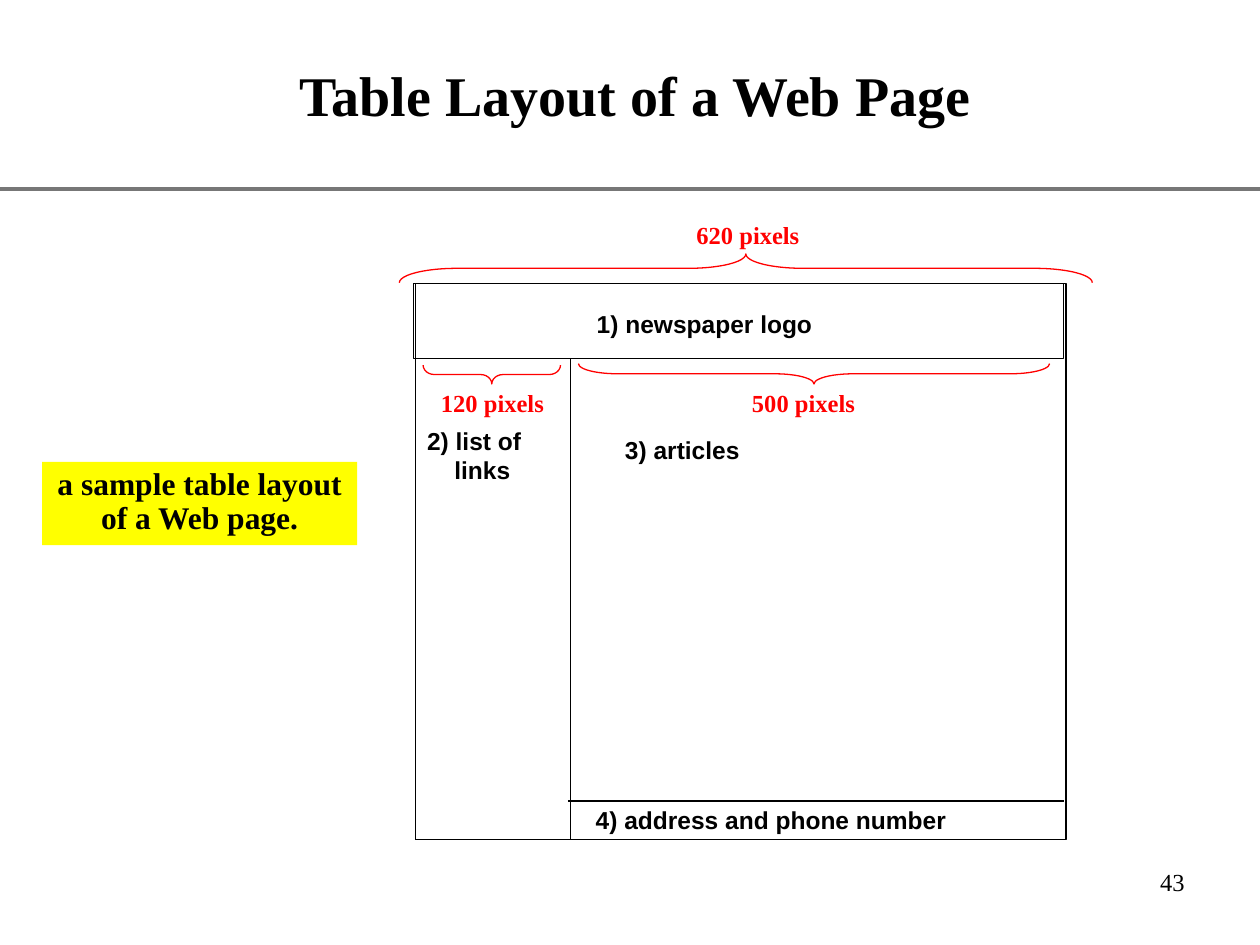
from lxml.etree import SubElement
from pptx import Presentation
from pptx.dml.color import RGBColor
from pptx.enum.shapes import MSO_CONNECTOR, MSO_SHAPE
from pptx.enum.text import MSO_ANCHOR, MSO_AUTO_SIZE, PP_ALIGN
from pptx.oxml.ns import qn
from pptx.util import Cm, Pt

COLORS = {"ink": "000000", "rule": "777777", "size": "FF0000", "note": "FFFF00"}
SERIF, SANS = "Times New Roman", "Arial"


def color(name):
    return RGBColor.from_string(COLORS[name])


def write(tf, text, size, font=SERIF, ink="ink", bold=True, align=PP_ALIGN.LEFT):
    values = {"size": Pt(size), "name": font, "bold": bold}
    for i, line in enumerate(text.split("\n")):
        p = tf.paragraphs[0] if i == 0 else tf.add_paragraph()
        p.alignment = align
        r = p.add_run()
        r.text = line
        for key, value in values.items():
            setattr(r.font, key, value)
        r.font.color.rgb = color(ink)


def add_outline(shapes, kind, x, y, w, h, ink="ink"):
    sp = shapes.add_shape(kind, Cm(x), Cm(y), Cm(w), Cm(h))
    sp.shadow.inherit = False
    sp.fill.background()
    sp.line.color.rgb = color(ink)
    sp.line.width = Pt(0.75)
    return sp


def add_rule(shapes, x1, x2, y, width, ink):
    line = shapes.add_connector(MSO_CONNECTOR.STRAIGHT, Cm(x1), Cm(y), Cm(x2), Cm(y))
    line.line.color.rgb = color(ink)
    line.line.width = Pt(width)
    SubElement(line._element.spPr, qn("a:effectLst"))


def add_brace(shapes, x, y, length, depth, rotation, curve):
    left, top = x + (length - depth) / 2, y + (depth - length) / 2
    sp = add_outline(shapes, MSO_SHAPE.LEFT_BRACE, left, top, depth, length, "size")
    sp.rotation = rotation
    sp.adjustments[0] = curve


def add_label(shapes, text, x, y, w, font=SANS, ink="ink"):
    h = 0.59 * len(text.split("\n"))
    tf = shapes.add_textbox(Cm(x), Cm(y), Cm(w), Cm(h)).text_frame
    margins = dict.fromkeys(("margin_left", "margin_top", "margin_right", "margin_bottom"), 0)
    values = {**margins, "word_wrap": False, "auto_size": MSO_AUTO_SIZE.SHAPE_TO_FIT_TEXT}
    for key, value in values.items():
        setattr(tf, key, value)
    write(tf, text, 14, font, ink)
    for p in tf.paragraphs[1:]:
        p._p.get_or_add_pPr().set("marL", str(Cm(0.55)))


def add_header(s, x, y, w, h):
    title = s.shapes.title
    for key, value in zip(("left", "top", "width", "height"), (x, y, w, h)):
        setattr(title, key, Cm(value))
    title.text_frame.vertical_anchor = MSO_ANCHOR.MIDDLE
    write(title.text_frame, "Table Layout of a Web Page", 32, align=PP_ALIGN.CENTER)
    add_rule(s.shapes, 0, 25.4, 3.81, 2, "rule")


def add_note(s, x, y, w, h):
    sp = s.shapes.add_shape(MSO_SHAPE.RECTANGLE, Cm(x), Cm(y), Cm(w), Cm(h))
    sp.shadow.inherit = False
    sp.fill.solid()
    sp.fill.fore_color.rgb = color("note")
    sp.line.fill.background()
    tf = sp.text_frame
    tf.word_wrap = True
    tf.vertical_anchor = MSO_ANCHOR.TOP
    write(tf, "a sample table layout of a Web page.", 18, align=PP_ALIGN.CENTER)
    tf.paragraphs[0].line_spacing = 0.9


def add_page_layout(s, x, y, w, h):
    shapes = s.shapes.add_group_shape().shapes
    logo_h, links_w = 1.52, 3.12
    cells = [
        (0, logo_h, links_w, h - logo_h),
        (0, 0, w, h),
        (-0.05, 0, w, logo_h),
    ]
    for dx, dy, cw, ch in cells:
        add_outline(shapes, MSO_SHAPE.RECTANGLE, x + dx, y + dy, cw, ch)
    add_rule(shapes, x + links_w - 0.05, x + w - 0.05, y + 10.44, 0.75, "ink")

    labels = [
        ("4) address and phone number", 3.63, 10.52, 7.2),
        ("1) newspaper logo", 3.65, 0.51, 4.6),
        ("2) list of\nlinks", 0.23, 2.87, 2.2),
        ("3) articles", 4.22, 3.05, 2.6),
    ]
    for text, dx, dy, lw in labels:
        add_label(shapes, text, x + dx, y + dy, lw)

    widths = [
        ("620 pixels", 5.66, -1.28, (-0.33, -0.59, 13.97, 0.58, 90, 2)),
        ("500 pixels", 6.78, 2.11, (3.28, 1.62, 9.5, 0.41, 270, 1.95)),
        ("120 pixels", 0.51, 2.11, (0.15, 1.65, 2.77, 0.38, 270, 0.6)),
    ]
    for text, dx, dy, (bx, by, *shape) in widths:
        add_brace(shapes, x + bx, y + by, *shape)
        add_label(shapes, text, x + dx, y + dy, 2.2, SERIF, "size")


def add_page_number(s, x, y, w, h):
    tf = s.shapes.add_textbox(Cm(x), Cm(y), Cm(w), Cm(h)).text_frame
    tf.word_wrap = True
    write(tf, "43", 14, bold=False, align=PP_ALIGN.RIGHT)


def main():
    prs = Presentation()
    prs.slide_width, prs.slide_height = Cm(25.4), Cm(19.05)
    s = prs.slides.add_slide(prs.slide_layouts[5])
    add_header(s, 3.18, 0.42, 19.25, 2.97)
    add_page_number(s, 18.85, 17.35, 5.28, 1.27)
    add_note(s, 0.85, 9.31, 6.35, 1.68)
    add_page_layout(s, 8.38, 5.71, 13.11, 11.22)
    prs.save("out.pptx")


if __name__ == "__main__":
    main()
